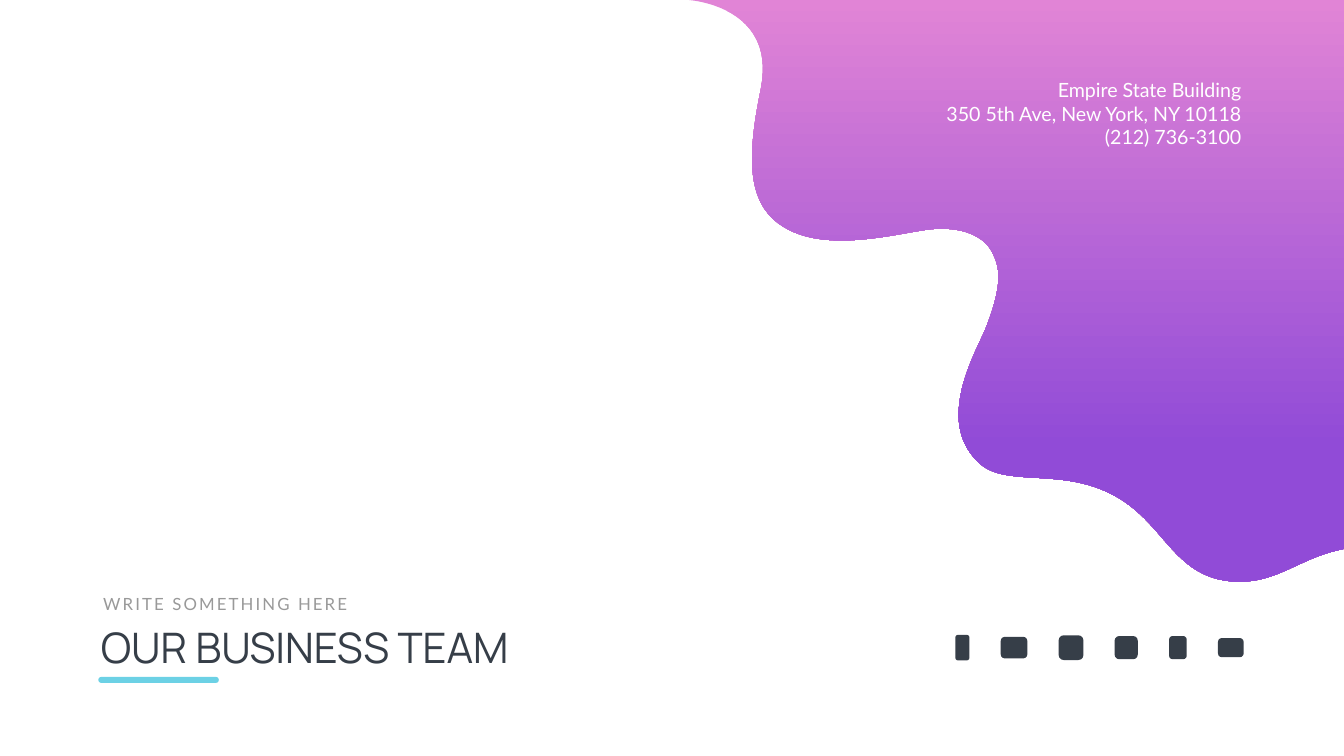
from dataclasses import dataclass

from lxml.etree import SubElement
from pptx import Presentation
from pptx.dml.color import RGBColor
from pptx.enum.shapes import MSO_SHAPE
from pptx.enum.text import MSO_ANCHOR, MSO_AUTO_SIZE, PP_ALIGN
from pptx.oxml.ns import qn
from pptx.util import Pt

PX = 9144
CURVE_STEPS = 24
TITLE_ONLY = 5


@dataclass(frozen=True)
class Theme:
    ink: str = "363E48"
    muted: str = "999999"
    white: str = "FFFFFF"
    accent: str = "6CD1E5"
    wave_top: str = "E184D6"
    wave_bottom: str = "914BD7"
    heading_font: str = "Manrope"
    body_font: str = "Lato"
    title_size: int = 60
    address_size: int = 28
    eyebrow_size: int = 24


THEME = Theme()

WAVE_START = (1366, 0)
WAVE_CURVES = [
    ((1366, 0), (1544, 11), (1509, 178)),
    ((1477, 332), (1487, 415), (1563, 455)),
    ((1649, 501), (1784, 462), (1845, 455)),
    ((1914, 448), (1956, 472), (1970, 504)),
    ((1981, 528), (1992, 558), (1956, 650)),
    ((1938, 696), (1850, 838), (1945, 921)),
    ((1999, 967), (2108, 927), (2210, 983)),
    ((2307, 1035), (2325, 1135), (2430, 1152)),
    ((2528, 1166), (2571, 1107), (2666, 1089)),
]
WAVE_CORNER = (2666, 0)

SOCIAL_SIZES = [(28, 51), (53, 43), (49, 49), (46, 46), (35, 46), (51, 38)]
SOCIAL_LEFT, SOCIAL_MIDDLE, SOCIAL_GAP = 1895, 1285, 62

ADDRESS = ["Empire State Building", "350 5th Ave, New York, NY 10118", "(212) 736-3100"]


def emu(*lengths):
    return [round(length * PX) for length in lengths]


def curve_points(start, curves):
    for first, second, end in curves:
        for step in range(1, CURVE_STEPS + 1):
            t = step / CURVE_STEPS
            weights = ((1 - t) ** 3, 3 * t * (1 - t) ** 2, 3 * t * t * (1 - t), t ** 3)
            corners = (start, first, second, end)
            yield tuple(sum(w * c[axis] for w, c in zip(weights, corners)) for axis in (0, 1))
        start = end


def add_wave(slide):
    outline = [*curve_points(WAVE_START, WAVE_CURVES), WAVE_CORNER]
    builder = slide.shapes.build_freeform(*emu(*WAVE_START), scale=1.0)
    builder.add_line_segments([emu(*point) for point in outline], close=True)
    wave = builder.convert_to_shape()
    wave.shadow.inherit = False
    wave.line.fill.background()
    wave.fill.gradient()
    wave.fill.gradient_angle = 270
    stops = zip(wave.fill.gradient_stops, (0, 0.77), (THEME.wave_top, THEME.wave_bottom))
    for stop, position, color in stops:
        stop.position = position
        stop.color.rgb = RGBColor.from_string(color)


def add_rounded(slide, box, color, roundness):
    bar = slide.shapes.add_shape(MSO_SHAPE.ROUNDED_RECTANGLE, *emu(*box))
    bar.adjustments[0] = roundness
    bar.shadow.inherit = False
    bar.line.fill.background()
    bar.fill.solid()
    bar.fill.fore_color.rgb = RGBColor.from_string(color)


def write_text(holder, box, lines, *, font, size, color,
               align=PP_ALIGN.LEFT, wrap=False, tracking=None):
    holder.left, holder.top, holder.width, holder.height = emu(*box)
    frame = holder.text_frame
    frame.text = "\n".join(lines)
    frame.word_wrap = wrap
    frame.auto_size = MSO_AUTO_SIZE.SHAPE_TO_FIT_TEXT
    frame.vertical_anchor = MSO_ANCHOR.TOP
    for paragraph in frame.paragraphs:
        paragraph.alignment = align
        for run in paragraph.runs:
            run.font.name = font
            run.font.size = Pt(size)
            run.font.color.rgb = RGBColor.from_string(color)
            properties = run.font._element
            if tracking:
                properties.set("spc", str(tracking * 100))
            for script in ("a:ea", "a:cs"):
                SubElement(properties, qn(script)).set("typeface", font)


def add_social_marks(slide):
    left = SOCIAL_LEFT
    for width, height in SOCIAL_SIZES:
        box = (left, SOCIAL_MIDDLE - height / 2, width, height)
        add_rounded(slide, box, THEME.ink, 0.2)
        left += width + SOCIAL_GAP


def add_text_box(slide, box, lines, **style):
    write_text(slide.shapes.add_textbox(*emu(*box)), box, lines, **style)


def main():
    deck = Presentation()
    deck.slide_width, deck.slide_height = emu(2666, 1500)
    slide = deck.slides.add_slide(deck.slide_layouts[TITLE_ONLY])

    add_wave(slide)
    add_social_marks(slide)
    add_text_box(slide, (1853, 150, 619, 151), ADDRESS, font=THEME.body_font,
                 size=THEME.address_size, color=THEME.white, align=PP_ALIGN.RIGHT)
    write_text(slide.shapes.title, (190, 1228, 1055, 111), ["OUR BUSINESS TEAM"],
               font=THEME.heading_font, size=THEME.title_size, color=THEME.ink, wrap=True)
    add_text_box(slide, (195, 1174, 514, 50), ["WRITE SOMETHING HERE"], font=THEME.body_font,
                 size=THEME.eyebrow_size, color=THEME.muted, tracking=3)
    add_rounded(slide, (195, 1343, 239, 12), THEME.accent, 0.5)

    deck.save("out.pptx")


if __name__ == "__main__":
    main()
